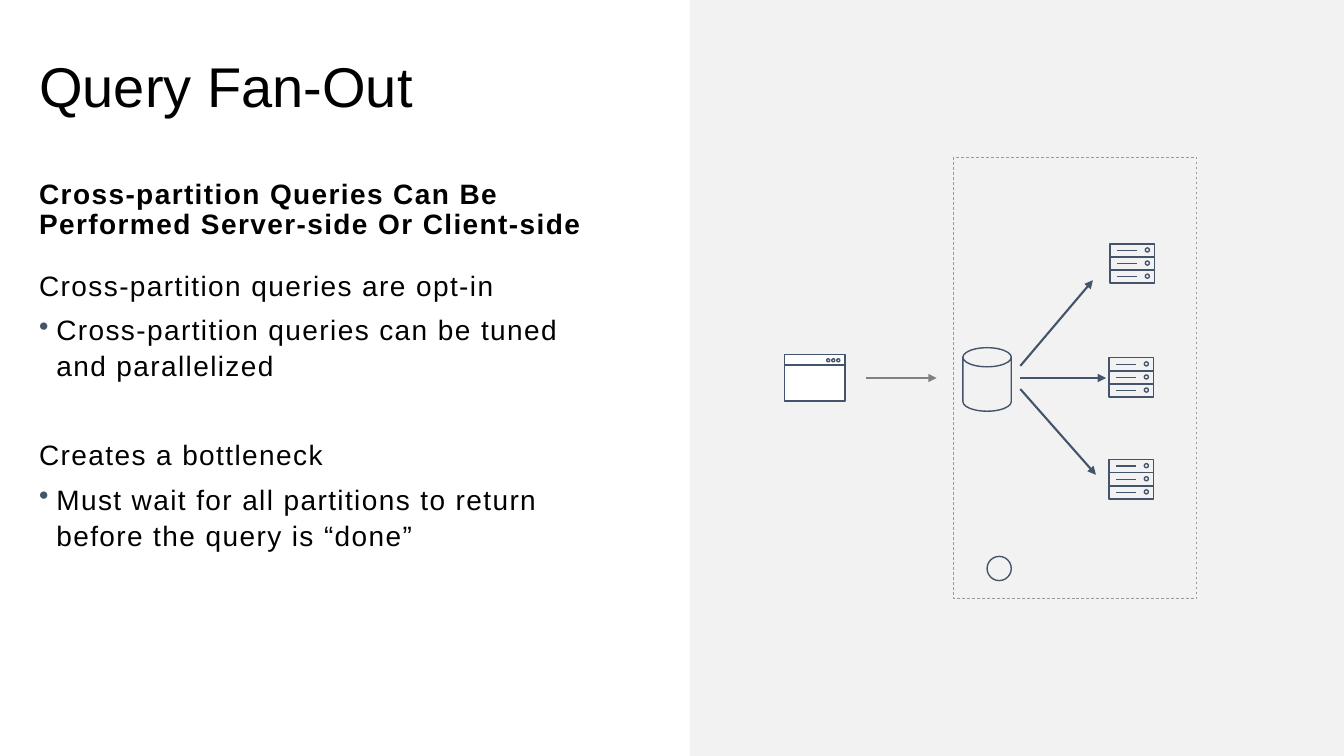
"""Builds the Query Fan-Out slide."""
from dataclasses import dataclass

from lxml import etree
from pptx import Presentation
from pptx.dml.color import RGBColor
from pptx.enum import dml, shapes, text
from pptx.oxml import ns
from pptx.util import Inches, Pt

TITLE = "Query Fan-Out"
BODY = [
    ("Cross-partition Queries Can Be Performed Server-side Or Client-side",
     dict(bold=True, spacing=0.9, before=10, after=18)),
    ("Cross-partition queries are opt-in", {}),
    ("Cross-partition queries can be tuned and parallelized", dict(bullet=True)),
    ("Creates a bottleneck", dict(before=32)),
    ("Must wait for all partitions to return before the query is “done”", dict(bullet=True)),
]
SERVERS = [(11.01, 2.42), (11, 3.55), (11, 4.56)]
FAN_OUT = [((10.12, 3.75), (10.97, 3.75)),
           ((10.12, 3.86), (10.87, 4.71)),
           ((10.12, 3.63), (10.84, 2.78))]
REQUEST = ((8.59, 3.75), (9.29, 3.75))
WINDOW = (7.78, 3.52, 0.6, 0.46)
DATABASE = (9.55, 3.45, 0.48, 0.63)
SERVICE_BOX = (9.46, 1.56, 2.41, 4.38)
SERVICE_MARK = (9.79, 5.52, 0.24, 0.24)
PANEL = (6.84, 0, 6.49, 7.5)


@dataclass(frozen=True)
class Theme:
    """Colours, font and type sizes."""
    font: str = "Arial"
    ink: str = "000000"
    accent: str = "44546A"
    arrow: str = "808080"
    frame: str = "999999"
    panel: str = "F2F2F2"
    white: str = "FFFFFF"
    title: int = 40
    body: int = 20


THEME = Theme()
KIND = shapes.MSO_SHAPE


def add_xml(parent, tag, **attributes):
    """Append a drawing element and return it."""
    return etree.SubElement(parent, ns.qn(tag), attributes)


def write(para, words, size=THEME.body, bold=False, spacing=1.07, before=0, after=6,
          tracking=0, bullet=False):
    """Fill one paragraph with formatted text."""
    para.alignment = text.PP_ALIGN.LEFT
    para.line_spacing = spacing
    para.space_before, para.space_after = Pt(before), Pt(after)
    span = para.add_run()
    span.text = words
    span.font.name, span.font.size, span.font.bold = THEME.font, Pt(size), bold
    span.font.color.rgb = RGBColor.from_string(THEME.ink)
    if tracking:
        span.font._element.set("spc", str(tracking * 100))
    if bullet:
        settings = para._p.get_or_add_pPr()
        settings.set("marL", str(Inches(0.17)))
        settings.set("indent", str(Inches(-0.17)))
        add_xml(add_xml(settings, "a:buClr"), "a:srgbClr", val=THEME.accent)
        add_xml(settings, "a:buChar", char="•")


def draw(page, kind, area, fill=None, line=THEME.accent, width=1):
    """Add a preset shape with an optional fill and outline."""
    shape = page.shapes.add_shape(kind, *map(Inches, area))
    shape.shadow.inherit = False
    if fill:
        shape.fill.solid()
        shape.fill.fore_color.rgb = RGBColor.from_string(fill)
    else:
        shape.fill.background()
    if line:
        shape.line.color.rgb = RGBColor.from_string(line)
        shape.line.width = Pt(width)
    else:
        shape.line.fill.background()
    return shape


def connect(page, start, end, color=THEME.accent, width=1, arrow=False):
    """Add a straight line, with an arrowhead if asked."""
    link = page.shapes.add_connector(shapes.MSO_CONNECTOR.STRAIGHT,
                                     *map(Inches, (*start, *end)))
    link.line.color.rgb = RGBColor.from_string(color)
    link.line.width = Pt(width)
    if arrow:
        add_xml(link.line._get_or_add_ln(), "a:tailEnd", type="triangle")
    add_xml(link._element.spPr, "a:effectLst")


def draw_server(page, left, top):
    """Draw a rack of three units."""
    for row in range(3):
        unit = top + row * 0.13
        draw(page, KIND.RECTANGLE, (left, unit, 0.44, 0.13))
        draw(page, KIND.OVAL, (left + 0.35, unit + 0.04, 0.04, 0.04))
        connect(page, (left + 0.07, unit + 0.065), (left + 0.27, unit + 0.065))


def draw_window(page, left, top, width, height):
    """Draw the client window with its three buttons."""
    draw(page, KIND.RECTANGLE, (left, top, width, height), fill=THEME.white)
    connect(page, (left, top + 0.1), (left + width, top + 0.1))
    for button in range(3):
        draw(page, KIND.OVAL, (left + 0.42 + button * 0.05, top + 0.04, 0.03, 0.03))


def add_words(page):
    """Place the title and the body text."""
    title = page.shapes.title
    title.left, title.top, title.width, title.height = map(Inches, (0.29, 0, 5.76, 1.77))
    title.text_frame.vertical_anchor = text.MSO_ANCHOR.MIDDLE
    write(title.text_frame.paragraphs[0], TITLE, size=THEME.title, spacing=0.9, after=0)
    box = page.shapes.add_textbox(*map(Inches, (0.29, 1.74, 5.87, 3.83)))
    frame = box.text_frame
    frame.word_wrap = True
    for index, (words, style) in enumerate(BODY):
        para = frame.add_paragraph() if index else frame.paragraphs[0]
        write(para, words, tracking=1, **style)


def add_diagram(page):
    """Draw the client, the database and its partitions."""
    draw(page, KIND.RECTANGLE, PANEL, fill=THEME.panel, line=None)
    service = draw(page, KIND.RECTANGLE, SERVICE_BOX, line=THEME.frame, width=0.5)
    service.line.dash_style = dml.MSO_LINE.DASH
    draw(page, KIND.OVAL, SERVICE_MARK)
    draw(page, KIND.CAN, DATABASE).adjustments[0] = 0.395
    connect(page, *REQUEST, color=THEME.arrow, width=1.5, arrow=True)
    for spot in SERVERS:
        draw_server(page, *spot)
    draw_window(page, *WINDOW)
    for start, end in FAN_OUT:
        connect(page, start, end, width=1.5, arrow=True)


def main():
    """Build and save the deck."""
    deck = Presentation()
    deck.slide_width, deck.slide_height = Inches(13.33), Inches(7.5)
    page = deck.slides.add_slide(deck.slide_layouts[5])
    add_diagram(page)
    add_words(page)
    deck.save("out.pptx")


if __name__ == "__main__":
    main()
